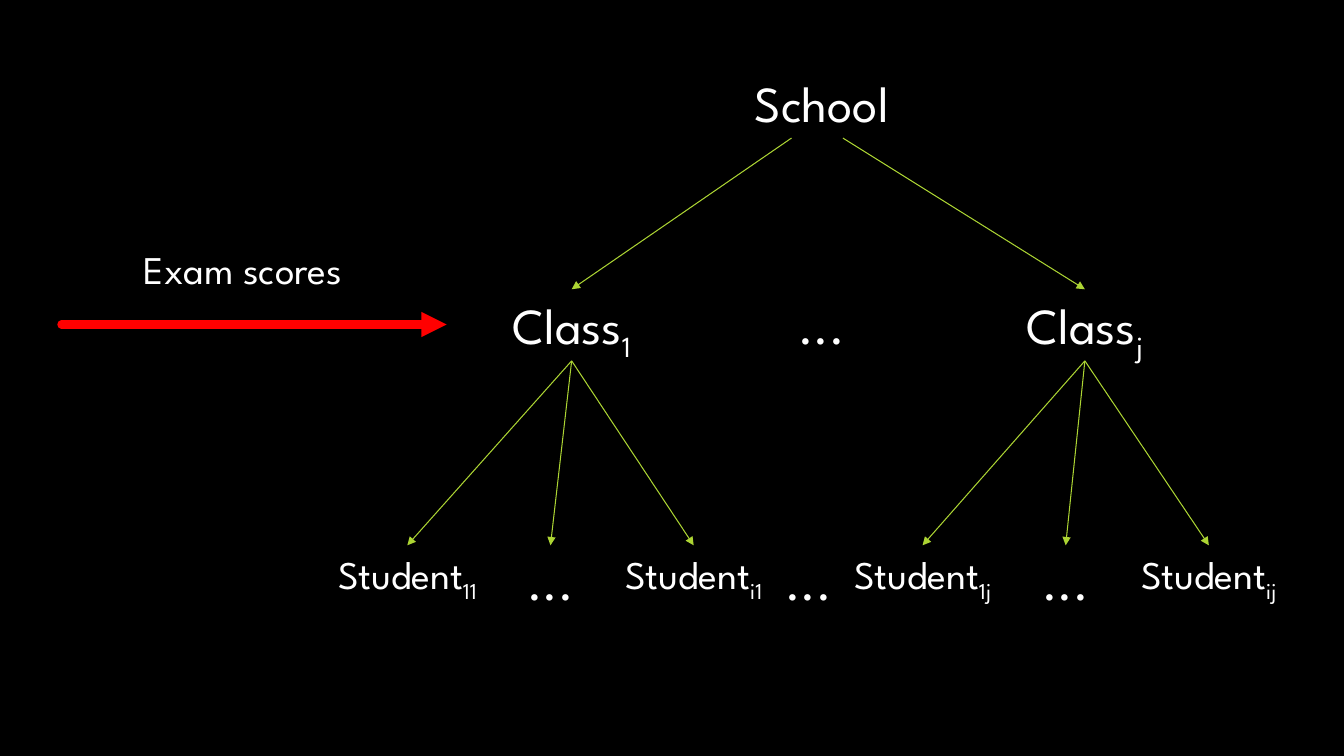
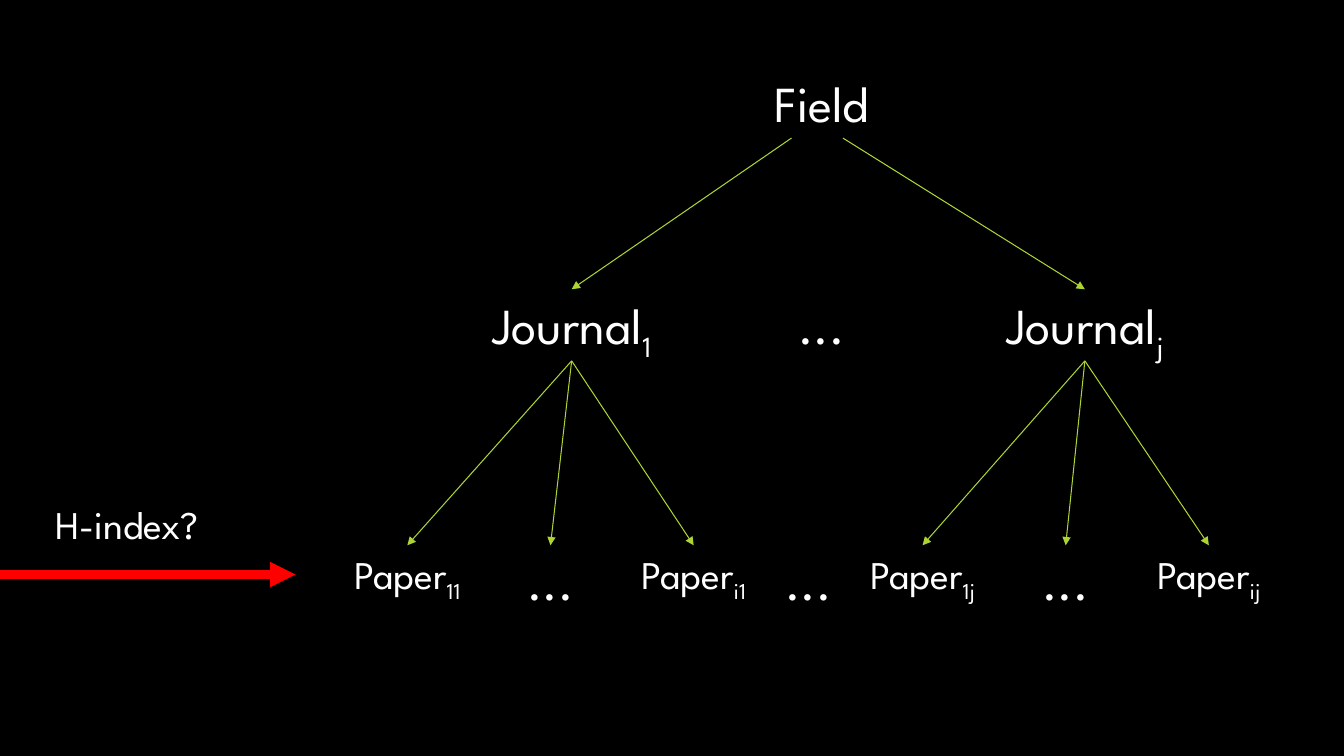
from lxml import etree
from pptx import Presentation
from pptx import util as u
from pptx.dml.color import RGBColor
from pptx.enum import shapes, text
from pptx.oxml import ns

BLACK = RGBColor(0x00, 0x00, 0x00)
WHITE = RGBColor(0xFF, 0xFF, 0xFF)
LIME = RGBColor(0xAC, 0xD4, 0x33)
RED = RGBColor(0xFF, 0x00, 0x00)

ROOT_TOP, GROUP_TOP, MEMBER_TOP = 0.67, 2.87, 5.41
ROOT_BOTTOM, GROUP_BOTTOM = 1.37, 3.58
ROOT_CENTER = 8.15
ROOT_EXITS = (7.85, 8.36)
GROUP_CENTERS = (5.67, 10.76)
FIRST_MEMBER, MEMBER_STEP, FAMILY_STEP = 4.04, 1.42, 5.11
BETWEEN_FAMILIES = 8.02


class TreeDeck:
    FONT = "League Spartan"
    LARGE, SMALL = 36, 28
    HEIGHTS = {LARGE: 0.71, SMALL: 0.57}

    def __init__(self):
        self.prs = Presentation()
        self.prs.slide_width = u.Inches(13.33)
        self.prs.slide_height = u.Inches(7.5)
        backdrop = self.prs.slide_master.background.fill
        backdrop.solid()
        backdrop.fore_color.rgb = BLACK
        self.slide = None

    def new_slide(self):
        self.slide = self.prs.slides.add_slide(self.prs.slide_layouts[6])

    def label(self, words, center, top, size=LARGE, width=2.48, subscript=""):
        box = self.slide.shapes.add_textbox(
            u.Inches(center - width / 2), u.Inches(top),
            u.Inches(width), u.Inches(self.HEIGHTS[size]))
        frame = box.text_frame
        frame.word_wrap = True
        frame.auto_size = text.MSO_AUTO_SIZE.SHAPE_TO_FIT_TEXT
        frame.text = words
        line = frame.paragraphs[0]
        line.alignment = text.PP_ALIGN.CENTER
        if subscript:
            index = line.add_run()
            index.text = subscript
            index.font._element.set("baseline", "-25000")
        for run in line.runs:
            run.font.name = self.FONT
            run.font.size = u.Pt(size)
            run.font.color.rgb = WHITE

    def arrow(self, start, end, color=LIME, weight=0.75, cap="flat"):
        link = self.slide.shapes.add_connector(
            shapes.MSO_CONNECTOR.STRAIGHT,
            *(u.Inches(value) for value in (*start, *end)))
        link.line.color.rgb = color
        link.line.width = u.Pt(weight)
        outline = link.get_or_add_ln()
        outline.set("cap", cap)
        etree.SubElement(outline, ns.qn("a:tailEnd"), type="triangle")
        etree.SubElement(link._element.spPr, ns.qn("a:effectLst"))

    def family(self, number, group, member, index):
        center = GROUP_CENTERS[number]
        self.label(group, center, GROUP_TOP, subscript=index)
        self.arrow((ROOT_EXITS[number], ROOT_BOTTOM), (center, GROUP_TOP))
        first = FIRST_MEMBER + number * FAMILY_STEP
        for place, prefix in enumerate(("1", None, "i")):
            x = first + place * MEMBER_STEP
            if prefix:
                self.label(member, x, MEMBER_TOP, self.SMALL, 2.22, prefix + index)
            else:
                self.label("...", x, MEMBER_TOP)
            self.arrow((center, GROUP_BOTTOM), (x, MEMBER_TOP))

    def tree(self, root, group, member):
        self.label(root, ROOT_CENTER, ROOT_TOP)
        self.label("...", ROOT_CENTER, GROUP_TOP)
        self.label("...", BETWEEN_FAMILIES, MEMBER_TOP, width=1.89)
        for number, index in enumerate(("1", "j")):
            self.family(number, group, member, index)

    def predictor(self, words, center, top, arrow_left, arrow_y):
        self.arrow((arrow_left, arrow_y), (arrow_left + 3.82, arrow_y), RED, 6, "rnd")
        self.label(words, center, top, self.SMALL, 3.43)


def main():
    deck = TreeDeck()

    deck.new_slide()
    deck.tree("School", "Class", "Student")
    deck.predictor("Exam scores", 2.41, 2.38, 0.61, 3.22)

    deck.new_slide()
    deck.tree("Field", "Journal", "Paper")
    deck.predictor("H-index?", 1.26, 4.91, -0.89, 5.7)

    deck.prs.save("out.pptx")


if __name__ == "__main__":
    main()
